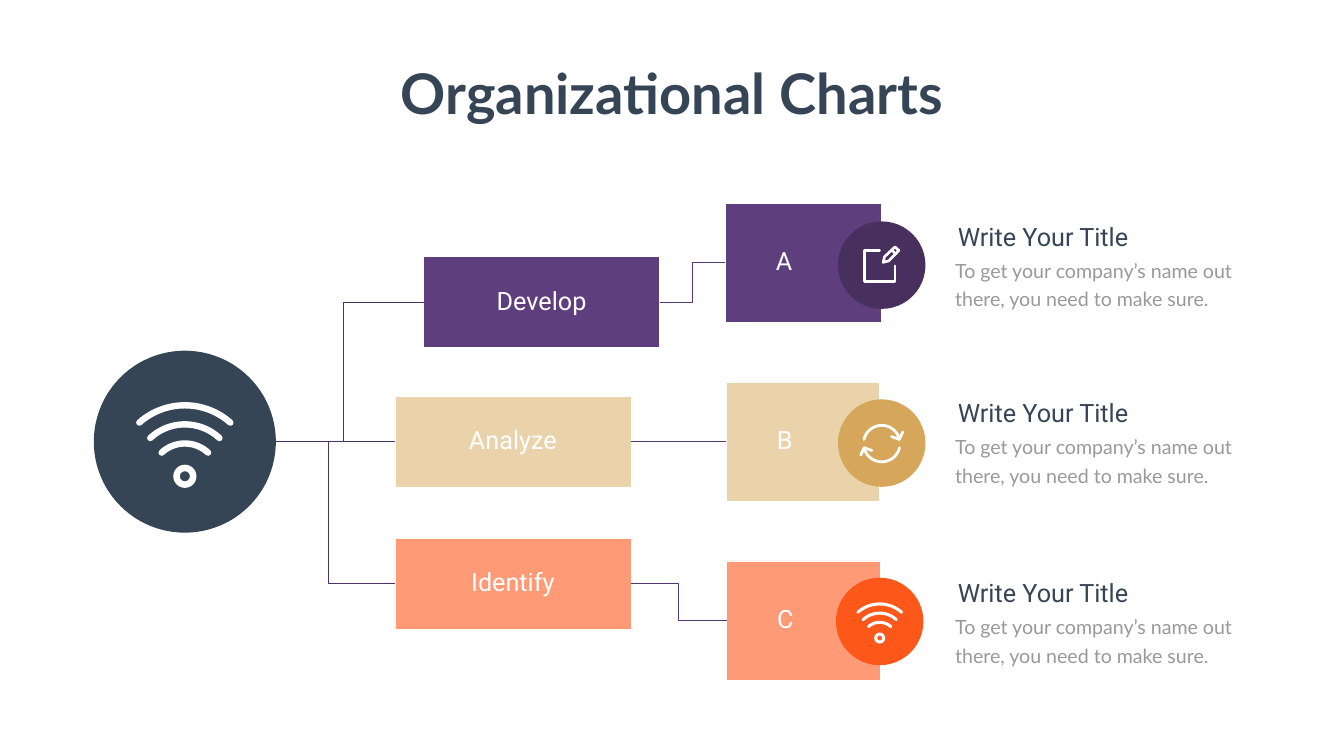
"""Build an organizational chart slide with three branches."""
from math import atan2, cos, hypot, radians, sin

from lxml import etree
from pptx import Presentation
from pptx.dml.color import RGBColor
from pptx.enum import shapes, text
from pptx.oxml import ns
from pptx.util import Pt

TITLE = "Organizational Charts"
HEADING = "Write Your Title"
BODY = "To get your company’s name out there, you need to make sure."
WHITE, NAVY, GRAY = "FFFFFF", "364556", "999999"
ROOT_LINE, BRANCH_LINE = "4C3265", "563872"
ROOT_X, ROOT_DIAMETER, BADGE_DIAMETER = 264, 260, 125
STAGE_WIDTH, STAGE_HEIGHT, LETTER_HEIGHT = 337, 129.6, 170.6
MIDDLE = 631

BRANCHES = [
    dict(stage="Develop", stage_left=605, stage_middle=431.4, letter="A", left=1036,
         middle=375.5, width=223, badge=(1259.3, 378.8), fill="5F3E7E",
         badge_fill="472F5E", icon="edit", heading_top=312.5),
    dict(stage="Analyze", stage_left=564, stage_middle=MIDDLE, letter="B", left=1037.5,
         middle=MIDDLE, width=219, badge=(1259.3, 633), fill="EAD2AB",
         badge_fill="D6A75A", icon="refresh", heading_top=564.5),
    dict(stage="Identify", stage_left=564, stage_middle=833.8, letter="C", left=1038,
         middle=886.7, width=219, badge=(1256.4, 887.8), fill="FE9A75",
         badge_fill="FD5719", icon="wifi", heading_top=821.5),
]
WIFI_ARCS = [(0.5, -0.21, -0.4), (0.38, -0.04, -0.19), (0.255, 0.12, 0.02)]
EDIT_FRAME = [(-3, -21), (-25, -21), (-25, 23), (19, 23), (19, 1)]
EDIT_PENCIL = [(19, -26), (24.5, -21), (10, -6), (2, -4), (4, -12), (19, -26)]
EDIT_BAND = [(14, -22), (20, -16)]
REFRESH_HEAD = [(14, -10), (25, -6), (30, -16.5)]

presentation = Presentation()
presentation.slide_width, presentation.slide_height = Pt(1919.5), Pt(1080)
slide = presentation.slides.add_slide(presentation.slide_layouts[6])


def color(value):
    return RGBColor.from_string(value)


def add_shape(kind, left, top, width, height, fill, line=None):
    shape = slide.shapes.add_shape(kind, Pt(left), Pt(top), Pt(width), Pt(height))
    shape.shadow.inherit = False
    shape.fill.solid()
    shape.fill.fore_color.rgb = color(fill)
    if line:
        shape.line.color.rgb = color(line)
        shape.line.width = Pt(1)
    else:
        shape.line.fill.background()
    return shape


def add_circle(center, diameter, fill, kind=shapes.MSO_SHAPE.OVAL):
    x, y = center
    return add_shape(kind, x - diameter / 2, y - diameter / 2, diameter, diameter, fill)


def write(shape, content, size, font, fill, align=text.PP_ALIGN.LEFT, bold=False):
    shape.text_frame.text = content
    paragraph = shape.text_frame.paragraphs[0]
    paragraph.alignment = align
    run_font = paragraph.runs[0].font
    run_font.size, run_font.name, run_font.bold = Pt(size), font, bold
    run_font.color.rgb = color(fill)
    return paragraph


def add_box(left, middle, width, height, fill, label, align, inset=2):
    box = add_shape(shapes.MSO_SHAPE.RECTANGLE, left, middle - height / 2, width, height, fill, WHITE)
    frame = box.text_frame
    frame.margin_left = Pt(inset)
    frame.margin_top = frame.margin_right = frame.margin_bottom = Pt(2)
    frame.vertical_anchor = text.MSO_ANCHOR.MIDDLE
    write(box, label, 36, "Roboto", WHITE, align).line_spacing = 0.9
    return box


def add_text(left, top, width, height, content, size, font, fill, wrap=True, **style):
    box = slide.shapes.add_textbox(Pt(left), Pt(top), Pt(width), Pt(height))
    box.text_frame.word_wrap = wrap
    return write(box, content, size, font, fill, **style)


def add_link(start, end, line):
    straight = start[1] == end[1]
    kind = shapes.MSO_CONNECTOR.STRAIGHT if straight else shapes.MSO_CONNECTOR.ELBOW
    link = slide.shapes.add_connector(kind, *map(Pt, start + end))
    link.line.color.rgb = color(line)
    link.line.width = Pt(1)
    etree.SubElement(link._element.spPr, ns.qn("a:effectLst"))
    return link


def add_stroke(center, points, width):
    points = [(Pt(center[0] + x), Pt(center[1] + y)) for x, y in points]
    builder = slide.shapes.build_freeform(*points[0])
    builder.add_line_segments(points[1:], close=False)
    shape = builder.convert_to_shape()
    shape.shadow.inherit = False
    shape.fill.background()
    shape.line.color.rgb = color(WHITE)
    shape.line.width = Pt(width)
    shape.line._get_or_add_ln().set("cap", "rnd")


def arc_points(middle_y, radius, start, end, steps=32):
    angles = [start + (end - start) * step / steps for step in range(steps + 1)]
    return [(radius * cos(angle), middle_y + radius * sin(angle)) for angle in angles]


def draw_wifi(center, diameter):
    unit = diameter / 2
    for half, end, top in WIFI_ARCS:
        radius = hypot(half, end - top) ** 2 / (2 * (end - top))
        spread = atan2(half, radius - (end - top))
        points = arc_points(top + radius, radius, radians(-90) - spread, radians(-90) + spread)
        add_stroke(center, [(x * unit, y * unit) for x, y in points], 0.07 * unit)
    ring = add_circle((center[0], center[1] + 0.38 * unit), 0.255 * unit, WHITE, shapes.MSO_SHAPE.DONUT)
    ring.adjustments[0] = 0.28


def draw_edit(center, diameter):
    for points in (EDIT_FRAME, EDIT_PENCIL, EDIT_BAND):
        add_stroke(center, points, 3.8)


def draw_refresh(center, diameter):
    for points in (arc_points(0, 26, radians(-167), radians(-13)), REFRESH_HEAD):
        for turn in (1, -1):
            add_stroke((center[0], center[1] + 0.7), [(turn * x, turn * y) for x, y in points], 4)


ICONS = {"wifi": draw_wifi, "edit": draw_edit, "refresh": draw_refresh}

for branch in BRANCHES:
    stage_left, stage_middle = branch["stage_left"], branch["stage_middle"]
    stage = add_box(stage_left, stage_middle, STAGE_WIDTH, STAGE_HEIGHT,
                    branch["fill"], branch["stage"], text.PP_ALIGN.CENTER)
    letter = add_box(branch["left"], branch["middle"], branch["width"], LETTER_HEIGHT,
                     branch["fill"], branch["letter"], text.PP_ALIGN.LEFT, 72)
    root_link = add_link((374.5, MIDDLE), (stage_left, stage_middle), ROOT_LINE)
    branch_link = add_link((stage_left + STAGE_WIDTH, stage_middle),
                           (branch["left"], branch["middle"]), BRANCH_LINE)
    if stage_middle == MIDDLE:
        root_link.end_connect(stage, 1)
        branch_link.begin_connect(stage, 3)
        branch_link.end_connect(letter, 1)
    add_circle(branch["badge"], BADGE_DIAMETER, branch["badge_fill"])
    ICONS[branch["icon"]](branch["badge"], BADGE_DIAMETER)
    top = branch["heading_top"]
    add_text(1357, top + 46.5, 449, 86, BODY, 28, "Lato", GRAY).line_spacing = Pt(40.8)
    add_text(1361, top, 412, 51, HEADING, 36, "Roboto", NAVY)

add_circle((ROOT_X, MIDDLE), ROOT_DIAMETER, NAVY)
draw_wifi((ROOT_X, MIDDLE), ROOT_DIAMETER)
add_text(554.4, 80.6, 810.7, 104.4, TITLE, 80, "Lato", NAVY, wrap=False,
         align=text.PP_ALIGN.CENTER, bold=True)

presentation.save("out.pptx")
